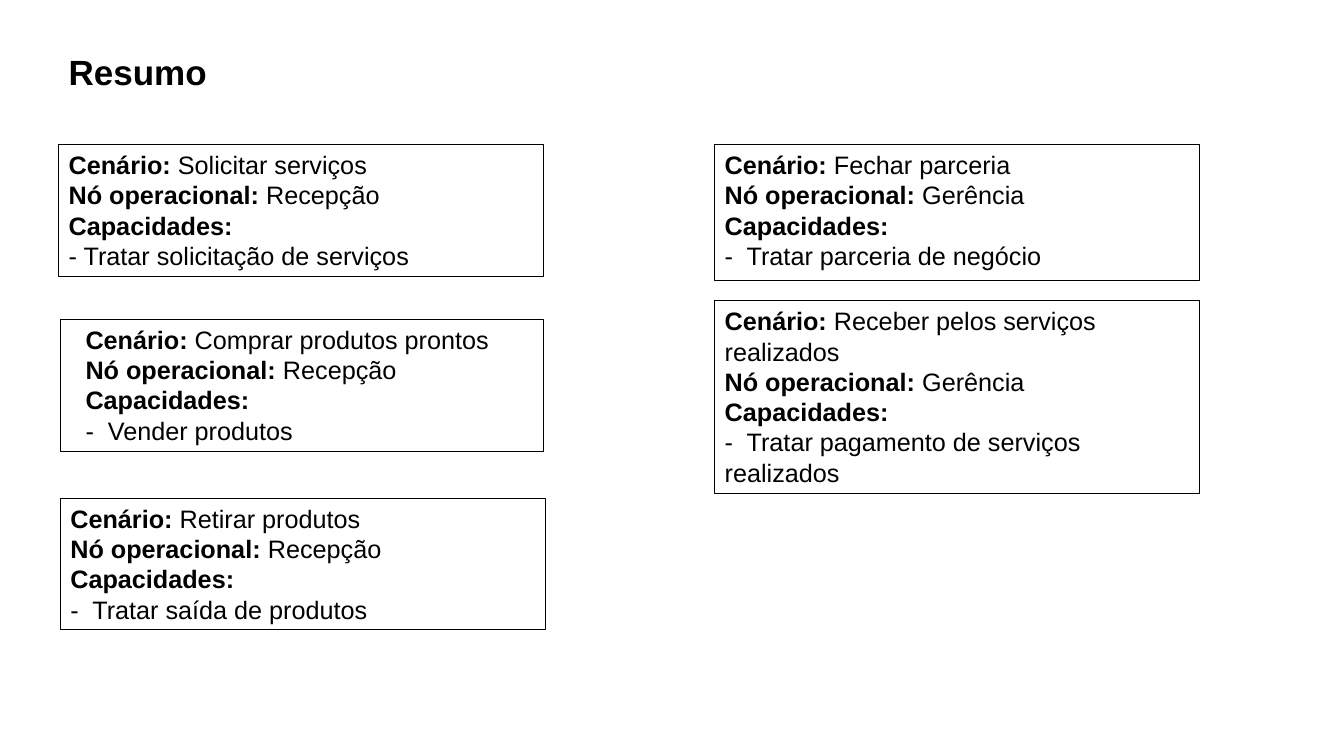
from pptx import Presentation
from pptx.dml.color import RGBColor
from pptx.enum.shapes import MSO_SHAPE
from pptx.enum.text import MSO_ANCHOR, MSO_AUTO_SIZE, PP_ALIGN
from pptx.util import Inches, Pt

RECT = MSO_SHAPE.RECTANGLE
TOP = MSO_ANCHOR.TOP
GROW = MSO_AUTO_SIZE.SHAPE_TO_FIT_TEXT
LEFT = PP_ALIGN.LEFT
COLS, ROWS = 160, 90


def color(value):
    return RGBColor.from_string(value)


class Board:
    font = "Arial"
    ink = "000000"
    body = 18
    head = 25

    def __init__(self, deck):
        self.slide = deck.slides.add_slide(deck.slide_layouts[6])
        self.col = deck.slide_width / COLS
        self.row = deck.slide_height / ROWS

    def place(self, left, top, width, height):
        return (round(left * self.col), round(top * self.row),
                round(width * self.col), round(height * self.row))

    def style(self, run, size, bold):
        run.font.name = self.font
        run.font.size = Pt(size)
        run.font.bold = bold
        run.font.color.rgb = color(self.ink)

    def title(self, text, *spot):
        frame = self.slide.shapes.add_textbox(*self.place(*spot)).text_frame
        frame.word_wrap = True
        frame.margin_left = frame.margin_right = Inches(0.1)
        frame.margin_top = frame.margin_bottom = Inches(0.1)
        frame.text = text
        self.style(frame.paragraphs[0].runs[0], self.head, True)

    def card(self, lines, spot, indent=0):
        box = self.slide.shapes.add_shape(RECT, *self.place(*spot))
        box.shadow.inherit = False
        box.fill.background()
        box.line.color.rgb = color(self.ink)
        box.line.width = Pt(0.75)
        frame = box.text_frame
        frame.word_wrap = True
        frame.auto_size = GROW
        frame.vertical_anchor = TOP
        for i, (label, value) in enumerate(lines):
            para = frame.add_paragraph() if i else frame.paragraphs[0]
            para.alignment = LEFT
            if indent:
                para._p.get_or_add_pPr().set("marL", str(Inches(indent)))
            for text, bold in ((label, True), (value, False)):
                if text:
                    run = para.add_run()
                    run.text = text
                    self.style(run, self.body, bold)


def scene(name, node, skill):
    return [("Cenário: ", name), ("Nó operacional: ", node),
            ("Capacidades:", ""), ("", skill)]


DESK, BOSS = "Recepção", "Gerência"
CARDS = [
    ("Solicitar serviços", DESK, "- Tratar solicitação de serviços",
     (7, 17.2, 57.7, 15.7), 0),
    ("Retirar produtos", DESK, "-  Tratar saída de produtos",
     (7.2, 59.3, 57.7, 15.7), 0),
    ("Comprar produtos prontos", DESK, "-  Vender produtos",
     (7.2, 38, 57.5, 15.7), 0.15),
    ("Fechar parceria", BOSS, "-  Tratar parceria de negócio",
     (85.1, 17.2, 57.7, 16.2), 0),
    ("Receber pelos serviços realizados", BOSS,
     "-  Tratar pagamento de serviços realizados",
     (85.1, 35.8, 57.7, 23), 0),
]


def main():
    deck = Presentation()
    deck.slide_width, deck.slide_height = Inches(13.33), Inches(7.5)
    board = Board(deck)
    board.title("Resumo", 7, 4.8, 30.6, 7.3)
    for name, node, skill, spot, indent in CARDS:
        board.card(scene(name, node, skill), spot, indent)
    deck.save("out.pptx")


if __name__ == "__main__":
    main()
